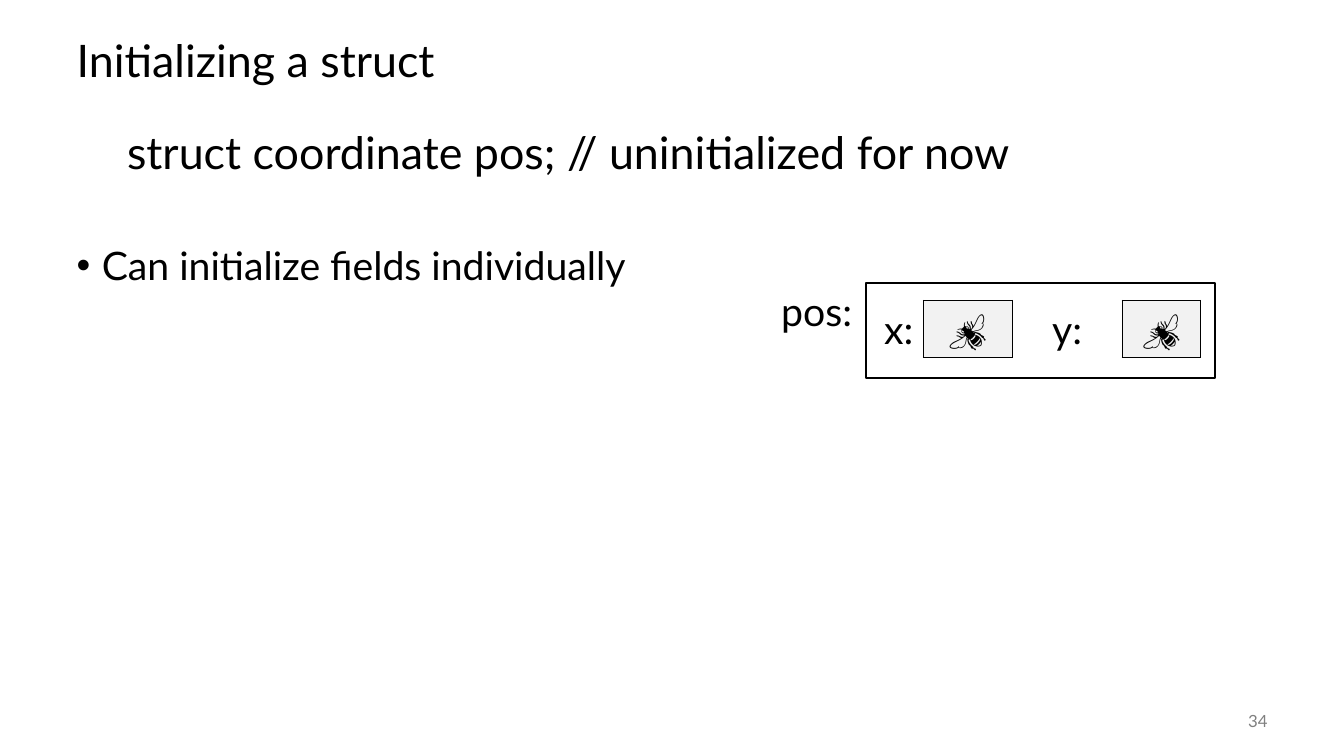
from lxml.etree import SubElement
from pptx import Presentation
from pptx.dml.color import RGBColor
from pptx.enum.shapes import MSO_SHAPE as Shape
from pptx.enum.text import MSO_ANCHOR as Anchor, MSO_AUTO_SIZE as AutoSize, PP_ALIGN as Align
from pptx.oxml.ns import qn
from pptx.util import Inches, Pt

BLACK = RGBColor(0, 0, 0)
GRAY = RGBColor(0x80, 0x80, 0x80)
WHITE = RGBColor(0xFF, 0xFF, 0xFF)
FIELD_GRAY = RGBColor(0xF2, 0xF2, 0xF2)
FONT = "Lato"

# Label, column width, alignment, fill, bordered sides
FIELDS = [
    ("x:", 1.18, Align.RIGHT, None, "R"),
    ("🐝", 0.88, Align.CENTER, FIELD_GRAY, "LRTB"),
    ("y:", 1.09, Align.CENTER, WHITE, "LR"),
    ("🐝", 0.78, Align.CENTER, FIELD_GRAY, "LRTB"),
]


def place(box, left, top, width, height):
    box.left, box.top = Inches(left), Inches(top)
    box.width, box.height = Inches(width), Inches(height)


def write(para, text, size, color=BLACK, **formats):
    para.text = text
    for name, value in formats.items():
        setattr(para, name, value)
    para.font.name = FONT
    para.font.size = Pt(size)
    para.font.color.rgb = color


def set_bullet(para, margin, indent, char=None):
    props = para._p.get_or_add_pPr()
    props.set("marL", str(Inches(margin)))
    props.set("indent", str(Inches(indent)))
    if char:
        SubElement(props, qn("a:buFont")).set("typeface", "Arial")
        SubElement(props, qn("a:buChar")).set("char", char)
    else:
        SubElement(props, qn("a:buNone"))


def set_borders(cell, sides):
    props = cell._tc.get_or_add_tcPr()
    for side in "LRTB":
        line = SubElement(props, qn(f"a:ln{side}"), w=str(Pt(1)))
        if side in sides:
            fill = SubElement(line, qn("a:solidFill"))
            SubElement(fill, qn("a:srgbClr")).set("val", str(BLACK))
        else:
            SubElement(line, qn("a:noFill"))


def add_label(page, bounds, text, size, color=BLACK, anchor=Anchor.TOP, wrap=True, **formats):
    box = page.shapes.add_textbox(*map(Inches, bounds))
    frame = box.text_frame
    frame.word_wrap = wrap
    frame.vertical_anchor = anchor
    write(frame.paragraphs[0], text, size, color, **formats)


def add_fields_table(page):
    widths = [field[1] for field in FIELDS]
    table = page.shapes.add_table(1, len(FIELDS), Inches(7.98), Inches(2.98),
                                  Inches(sum(widths)), Inches(0.57)).table
    table.first_row = table.horz_banding = False
    for index, (label, width, align, color, sides) in enumerate(FIELDS):
        table.columns[index].width = Inches(width)
        cell = table.cell(0, index)
        set_borders(cell, sides)
        if color is None:
            cell.fill.background()
        else:
            cell.fill.solid()
            cell.fill.fore_color.rgb = color
        write(cell.text_frame.paragraphs[0], label, 28, alignment=align)


def add_outline(page, *bounds):
    box = page.shapes.add_shape(Shape.RECTANGLE, *map(Inches, bounds))
    box.shadow.inherit = False
    box.fill.background()
    box.line.color.rgb = BLACK
    box.line.width = Pt(1)


def main():
    deck = Presentation()
    deck.slide_width, deck.slide_height = Inches(13.33), Inches(7.5)
    page = deck.slides.add_slide(deck.slide_layouts[1])

    # Title
    title = page.shapes.title
    place(title, 0.66, 0.25, 12, 0.75)
    title.text_frame.vertical_anchor = Anchor.MIDDLE
    title.text_frame.auto_size = AutoSize.NONE
    write(title.text_frame.paragraphs[0], "Initializing a struct", 32,
          alignment=Align.LEFT, line_spacing=0.9)

    # Declaration and bullet
    body = page.placeholders[1]
    place(body, 0.66, 1.25, 12, 5.5)
    frame = body.text_frame
    frame.auto_size = AutoSize.NONE
    declaration = frame.paragraphs[0]
    set_bullet(declaration, 0.5, 0)
    write(declaration, "struct coordinate pos; // uninitialized for now", 32,
          level=1, line_spacing=0.9, space_before=Pt(0))
    bullet = frame.add_paragraph()
    set_bullet(bullet, 0.25, -0.25, "•")
    write(bullet, "Can initialize fields individually", 28,
          line_spacing=0.9, space_before=Pt(48))

    # Slide number
    add_label(page, (11.67, 6.95, 1, 0.4), "34", 12, GRAY, Anchor.MIDDLE,
              alignment=Align.RIGHT)

    # The struct in memory
    add_fields_table(page)
    add_outline(page, 8.59, 2.81, 3.46, 0.94)
    add_label(page, (7.65, 2.8, 0.94, 0.57), "pos:", 28, wrap=False)

    deck.save("out.pptx")


if __name__ == "__main__":
    main()
